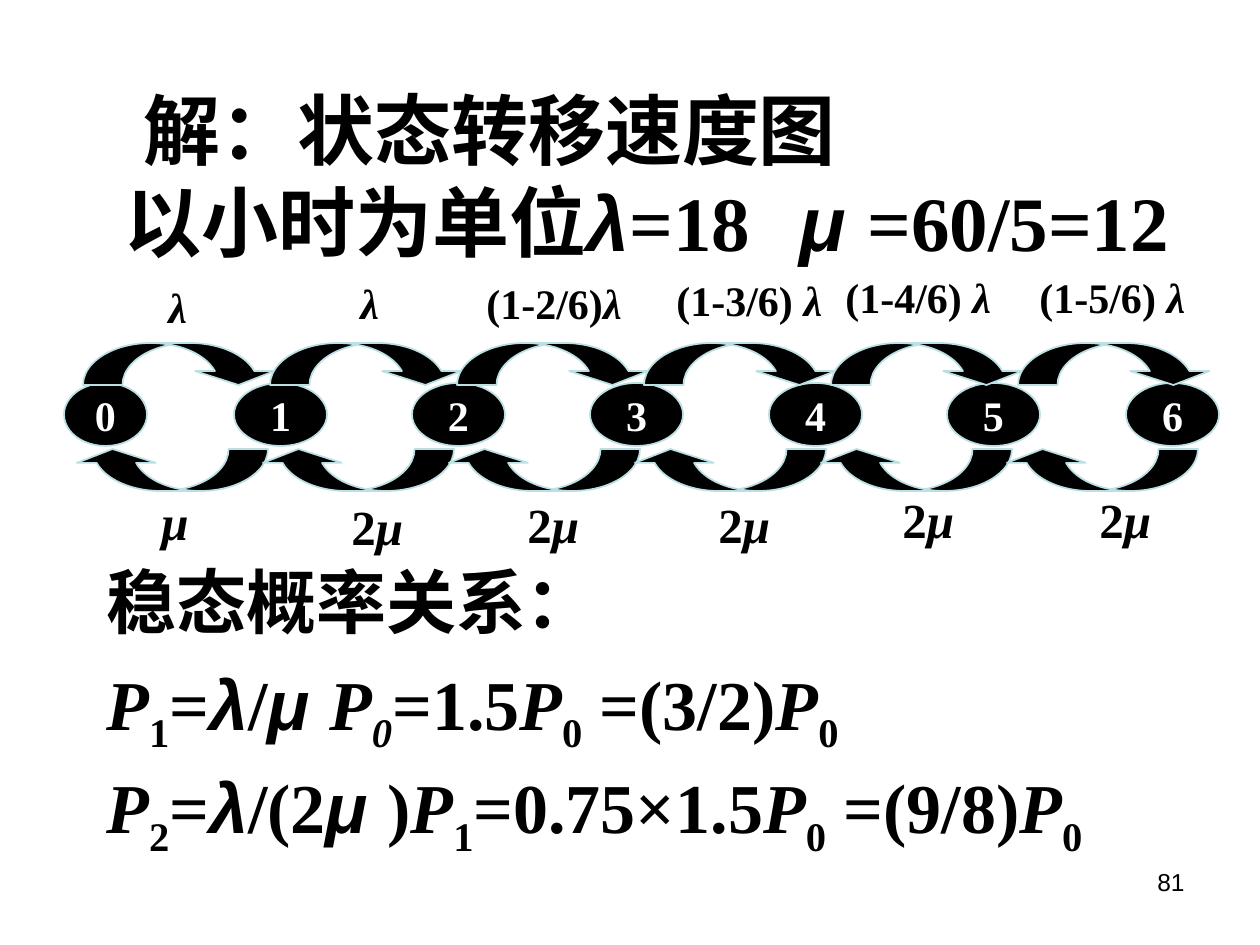
from dataclasses import dataclass

from pptx import Presentation
from pptx.dml.color import RGBColor
from pptx.enum.shapes import MSO_SHAPE as Preset
from pptx.enum.text import MSO_ANCHOR as Anchor, MSO_AUTO_SIZE as AutoSize, PP_ALIGN as Align
from pptx.oxml.ns import qn
from pptx.util import Emu, Pt

PX = 914400 / 126


def px(length):
    return Emu(round(length * PX))


@dataclass(frozen=True)
class Theme:
    ink: RGBColor = RGBColor(0, 0, 0)
    paper: RGBColor = RGBColor(255, 255, 255)
    edge: RGBColor = RGBColor(0xBB, 0xE0, 0xE3)
    serif: str = "Times New Roman"
    sans: str = "Arial"
    heading: int = 44
    body: int = 40
    service: int = 28
    label: int = 24
    number: int = 14


@dataclass(frozen=True)
class Part:
    text: str
    italic: bool = False
    sub: bool = False
    font: str = ""


def var(text):
    return Part(text, italic=True)


def sub(text, italic=False):
    return Part(text, italic, sub=True)


def greek(text):
    return Part(text, italic=True, font=Theme.sans)


class SlideBuilder:
    def __init__(self, slide, theme):
        self.slide = slide
        self.theme = theme

    def set_parts(self, paragraph, parts, size, color=None, font=None, bold=True):
        for part in parts:
            part = Part(part) if isinstance(part, str) else part
            for number, line in enumerate(part.text.split("\n")):
                if number:
                    paragraph.add_line_break()
                run = paragraph.add_run()
                run.text = line
                if part.italic:
                    run.font.italic = True
                if part.font:
                    run.font.name = part.font
                if part.sub:
                    run._r.get_or_add_rPr().set("baseline", "-25000")
        paragraph.font.size = Pt(size)
        paragraph.font.name = font or self.theme.serif
        paragraph.font.bold = bold
        paragraph.font.color.rgb = color or self.theme.ink

    def indent(self, paragraph, margin, first):
        properties = paragraph._p.get_or_add_pPr()
        properties.set("marL", str(px(margin)))
        properties.set("indent", str(px(first)))
        return properties

    def title(self, x, y, w, h, parts, first, tab):
        heading = self.slide.shapes.title
        heading.left, heading.top, heading.width, heading.height = map(px, (x, y, w, h))
        frame = heading.text_frame
        frame.auto_size = AutoSize.NONE
        frame.word_wrap = True
        frame.vertical_anchor = Anchor.MIDDLE
        paragraph = frame.paragraphs[0]
        paragraph.alignment = Align.LEFT
        properties = self.indent(paragraph, 0, first)
        stops = properties.makeelement(qn("a:tabLst"), {})
        stops.append(stops.makeelement(qn("a:tab"), {"pos": str(px(tab)), "algn": "l"}))
        properties.append(stops)
        self.set_parts(paragraph, parts, self.theme.heading)

    def frame(self, x, y, w, h):
        frame = self.slide.shapes.add_textbox(*map(px, (x, y, w, h))).text_frame
        frame.word_wrap = True
        return frame

    def label(self, x, y, w, h, parts, size):
        frame = self.frame(x, y, w, h)
        frame.margin_right = 0
        self.set_parts(frame.paragraphs[0], parts, size)

    def number(self, x, y, w, h, text):
        paragraph = self.frame(x, y, w, h).paragraphs[0]
        paragraph.alignment = Align.RIGHT
        self.set_parts(paragraph, [text], self.theme.number, font=self.theme.sans, bold=False)

    def body(self, x, y, w, h, lines):
        frame = self.frame(x, y, w, h)
        for index, parts in enumerate(lines):
            paragraph = frame.add_paragraph() if index else frame.paragraphs[0]
            paragraph.alignment = Align.JUSTIFY
            paragraph.line_spacing = 0.9
            paragraph.space_before = Pt(10 if index else 0)
            self.indent(paragraph, 48, -48)
            self.set_parts(paragraph, parts, self.theme.body)

    def shape(self, preset, x, y, w, h):
        shape = self.slide.shapes.add_shape(preset, *map(px, (x, y, w, h)))
        shape.shadow.inherit = False
        shape.fill.solid()
        shape.fill.fore_color.rgb = self.theme.ink
        shape.line.color.rgb = self.theme.edge
        shape.line.width = Pt(1)
        return shape

    def state(self, x, y, w, h, text):
        frame = self.shape(Preset.OVAL, x, y, w, h).text_frame
        frame.word_wrap = False
        frame.vertical_anchor = Anchor.MIDDLE
        paragraph = frame.paragraphs[0]
        paragraph.alignment = Align.CENTER
        self.set_parts(paragraph, [text], self.theme.label, color=self.theme.paper)

    def arrow(self, x, y, rotation=0):
        arrow = self.shape(Preset.CURVED_DOWN_ARROW, x, y, 195, 42)
        for index, ratio in enumerate((0.94, 1.88, 0.33)):
            arrow.adjustments[index] = ratio
        arrow.rotation = rotation


def main():
    deck = Presentation()
    deck.slide_width, deck.slide_height = px(1260), px(945)
    theme = Theme()
    page = SlideBuilder(deck.slides.add_slide(deck.slide_layouts[5]), theme)

    page.title(94, 76, 1121, 198, [
        " 解：状态转移速度图\n 以小时为单位", greek("λ"), "=18\t", greek("μ "), "=60/5=12",
    ], first=19, tab=700)

    page.state(64, 383, 83, 63, "0")
    for state in range(1, 7):
        page.state(234 + (state - 1) * 892 // 5, 383, 93, 63, str(state))
    for step in range(6):
        page.arrow(83 + 187 * step, 343)
        page.arrow(73 + 186 * step, 449, rotation=180)

    arrivals = [
        (156, 275, 44, ""), (348, 271, 44, ""), (474, 271, 160, "(1-2/6)"),
        (664, 268, 170, "(1-3/6) "), (833, 265, 251, "(1-4/6) "), (1027, 265, 170, "(1-5/6) "),
    ]
    for x, y, w, factor in arrivals:
        page.label(x, y, w, 63, [factor, var("λ")] if factor else [var("λ")], theme.label)

    departures = [
        (149, 485, 52, ""), (339, 490, 89, "2"), (515, 488, 105, "2"),
        (706, 488, 105, "2"), (890, 483, 105, "2"), (1087, 483, 77, "2"),
    ]
    for x, y, w, factor in departures:
        page.label(x, y, w, 72, [factor, var("μ")] if factor else [var("μ")], theme.service)

    p0 = [var("P"), sub("0")]
    p1 = [var("P"), sub("1")]
    page.body(94, 562, 1079, 310, [
        ["稳态概率关系："],
        [*p1, "=", greek("λ"), "/", greek("μ "), var("P"), sub("0", italic=True),
         "=1.5", *p0, " =(3/2)", *p0],
        [var("P"), sub("2"), "=", greek("λ"), "/(2", greek("μ "), ")", *p1,
         "=0.75×1.5", *p0, " =(9/8)", *p0],
    ])
    page.number(903, 861, 294, 66, "81")
    deck.save("out.pptx")


if __name__ == "__main__":
    main()
